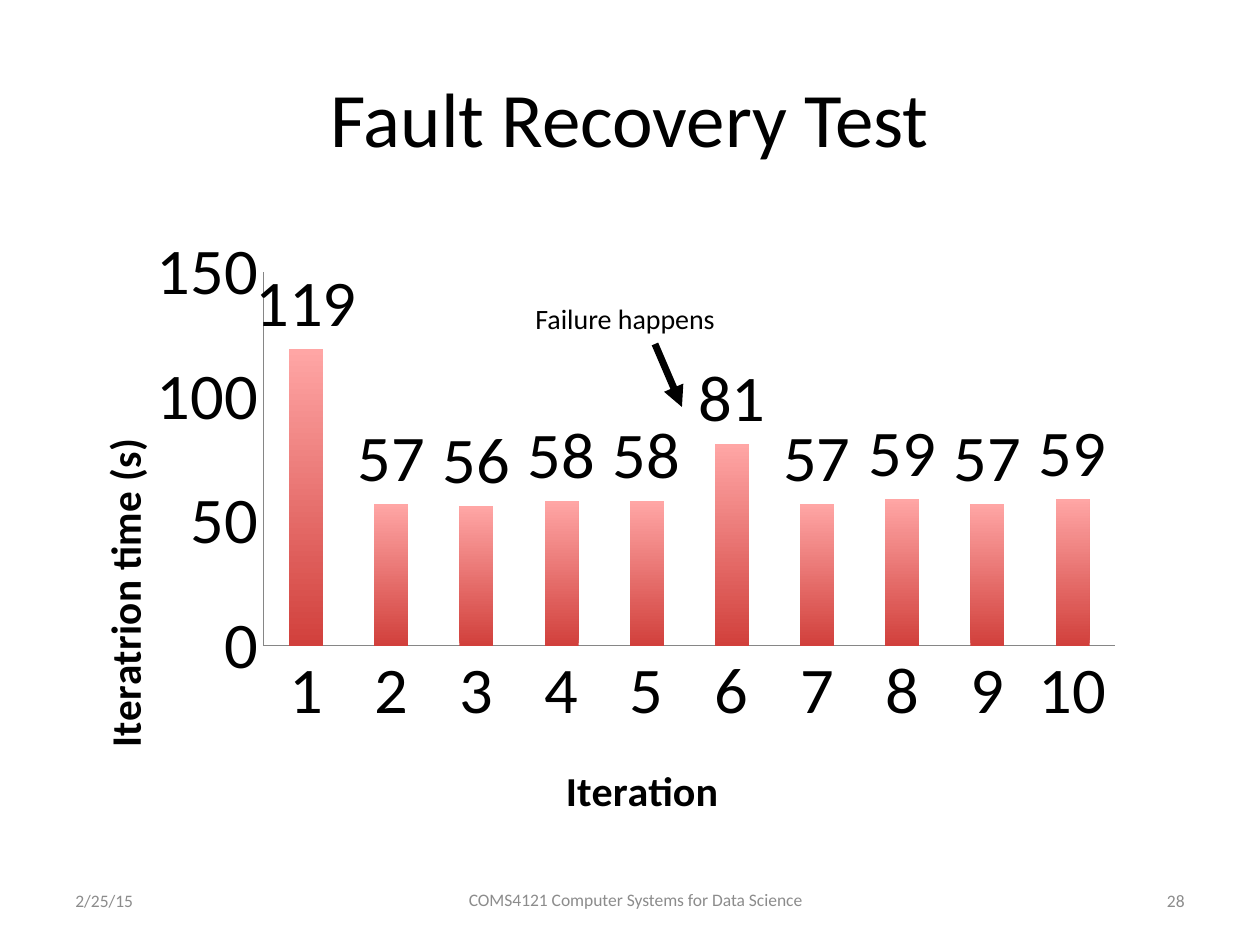
import pptx
import pptx.chart.data
import pptx.dml.color
import pptx.enum.chart
import pptx.enum.shapes
import pptx.enum.text
import pptx.oxml
import pptx.oxml.ns
import pptx.util

PX = 914400 // 126
FONT = "Calibri"
COLORS = {"text": "000000", "footer": "8C8C8C", "axis": "868686",
          "bar_bottom": "D1403C", "bar_top": "FFA6A5"}
RGB = {name: pptx.dml.color.RGBColor.from_string(c) for name, c in COLORS.items()}
ALIGN = pptx.enum.text.PP_ALIGN
qn = pptx.oxml.ns.qn


def set_font(font, size, color="text", bold=False):
    font.name, font.size, font.bold = FONT, pptx.util.Pt(size), bold
    font.color.rgb = RGB[color]


def set_layout(parent, index, **fractions):
    """Give a chart part a manual layout, in fractions of the chart."""
    for old in parent.findall(qn("c:layout")):
        parent.remove(old)
    modes = '<c:xMode val="edge"/><c:yMode val="edge"/>'
    values = "".join(f'<c:{k} val="{v}"/>' for k, v in fractions.items())
    target = '<c:layoutTarget val="inner"/>' if "w" in fractions else ""
    parent.insert(index, pptx.oxml.parse_xml(
        f'<c:layout {pptx.oxml.ns.nsdecls("c")}><c:manualLayout>'
        f'{target}{modes}{values}</c:manualLayout></c:layout>'))


prs = pptx.Presentation()
prs.slide_width, prs.slide_height = 1260 * PX, 945 * PX
s = prs.slides.add_slide(prs.slide_layouts[5])

# Title
title = s.shapes.title
title.left, title.top, title.width, title.height = [v * PX for v in (63, 38, 1134, 157)]
title.text_frame.text = "Fault Recovery Test"
title.text_frame.vertical_anchor = pptx.enum.text.MSO_ANCHOR.MIDDLE
p = title.text_frame.paragraphs[0]
p.alignment = ALIGN.CENTER
set_font(p.runs[0].font, 44)

# Iteration times
data = pptx.chart.data.CategoryChartData(number_format="#,##0")
data.categories = [str(n) for n in range(1, 11)]
data.add_series("Series 1", (119, 57, 56, 58, 58, 81, 57, 59, 57, 59))
chart = s.shapes.add_chart(pptx.enum.chart.XL_CHART_TYPE.COLUMN_CLUSTERED,
                           67 * PX, 205 * PX, 1092 * PX, 626 * PX, data).chart
chart.has_legend = False
chart.has_title = False
set_font(chart.font, 38)
set_layout(chart.plots[0]._element.getparent(), 0, x=0.18, y=0.11, w=0.78, h=0.61)

for axis, text, x, y in ((chart.category_axis, "Iteration", 0.45, 0.9),
                         (chart.value_axis, "Iteratrion time (s)", 0.02, 0.38)):
    axis.has_major_gridlines = False
    axis.major_tick_mark = axis.minor_tick_mark = pptx.enum.chart.XL_TICK_MARK.NONE
    axis.format.line.color.rgb = RGB["axis"]
    axis.format.line.width = pptx.util.Pt(0.75)
    set_font(axis.tick_labels.font, 38)
    tf = axis.axis_title.text_frame
    tf.text = text
    set_font(tf.paragraphs[0].runs[0].font, 24, bold=True)
    set_layout(axis.axis_title._element, 1, x=x, y=y)
chart.value_axis.minimum_scale = 0
chart.value_axis.maximum_scale = 150
chart.value_axis.major_unit = 50

plot = chart.plots[0]
plot.gap_width = 150
plot.vary_by_categories = False
plot.has_data_labels = True
labels = plot.data_labels
labels.show_value = True
labels.number_format, labels.number_format_is_linked = "#,##0", False
labels.position = pptx.enum.chart.XL_LABEL_POSITION.OUTSIDE_END
set_font(labels.font, 38)
fill = plot.series[0].format.fill
fill.gradient()
fill.gradient_angle = 90
for stop, name in zip(fill.gradient_stops, ("bar_bottom", "bar_top")):
    stop.color.rgb = RGB[name]

# Failure arrow
arrow = s.shapes.add_connector(pptx.enum.shapes.MSO_CONNECTOR.STRAIGHT,
                               655 * PX, 344 * PX, 682 * PX, 407 * PX)
arrow.line.color.rgb = RGB["text"]
arrow.line.width = pptx.util.Pt(4)
arrow.line._get_or_add_ln().append(pptx.oxml.parse_xml(
    f'<a:tailEnd {pptx.oxml.ns.nsdecls("a")} type="triangle"/>'))
arrow._element.spPr.append(pptx.oxml.parse_xml(
    f'<a:effectLst {pptx.oxml.ns.nsdecls("a")}/>'))

# Failure label and footer
for text, box, size, color, align, wrap in (
        ("Failure happens", (523, 295, 210, 47), 16, "text", ALIGN.LEFT, False),
        ("2/25/15", (63, 876, 294, 50), 10, "footer", ALIGN.LEFT, True),
        ("COMS4121 Computer Systems for Data Science", (399, 872, 473, 54),
         10, "footer", ALIGN.CENTER, True),
        ("28", (903, 876, 294, 50), 10, "footer", ALIGN.RIGHT, True)):
    tf = s.shapes.add_textbox(*(v * PX for v in box)).text_frame
    tf.text = text
    tf.word_wrap = wrap
    tf.vertical_anchor = pptx.enum.text.MSO_ANCHOR.MIDDLE
    p = tf.paragraphs[0]
    p.alignment = align
    set_font(p.runs[0].font, size, color)

prs.save("out.pptx")
